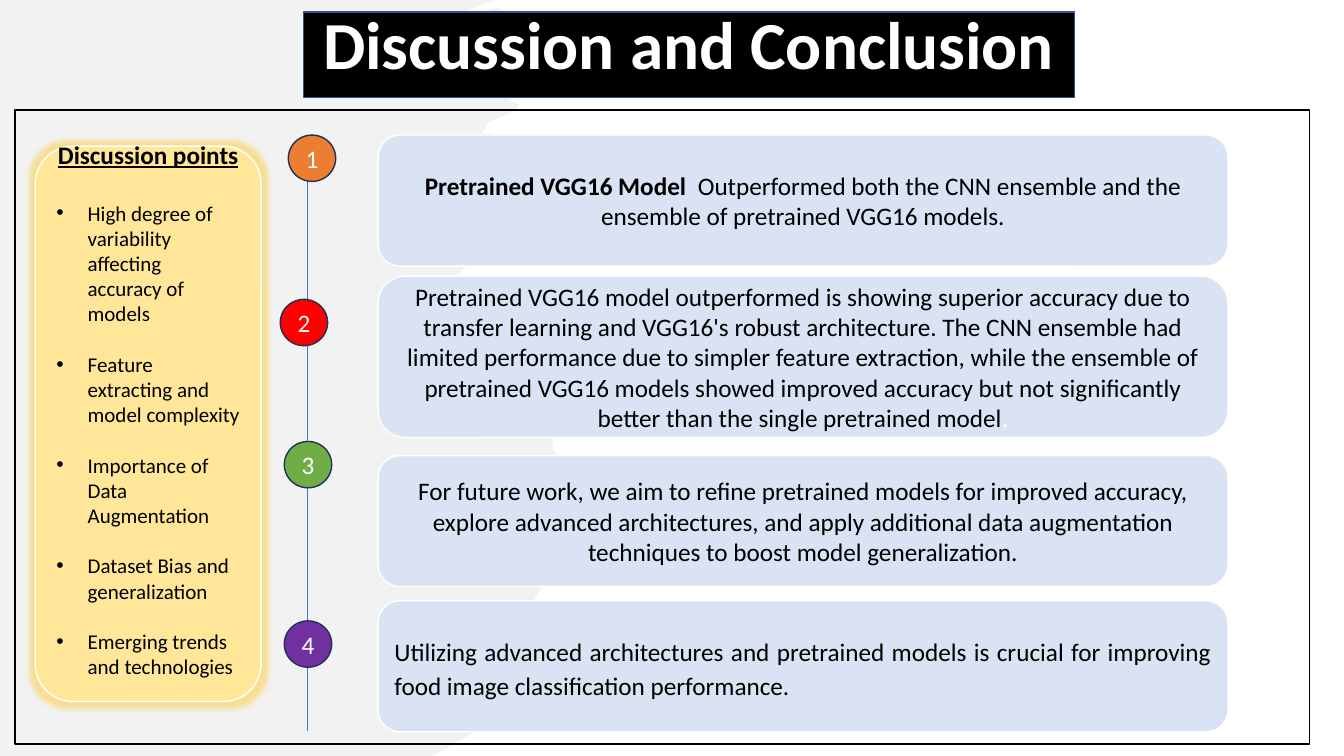
"""Build the Discussion and Conclusion slide."""
from lxml import etree
from pptx import Presentation
from pptx.dml import color as dml
from pptx.enum import shapes, text
from pptx.oxml import ns
from pptx.util import Inches, Pt

color = dml.RGBColor.from_string


def draw(kind, bounds, fill, line):
    shape = page.shapes.add_shape(kind, *map(Inches, bounds))
    shape.shadow.inherit = False
    if fill:
        shape.fill.solid()
        shape.fill.fore_color.rgb = color(fill)
    else:
        shape.fill.background()
    shape.line.color.rgb = color(line)
    shape.line.width = Pt(1)
    return shape


def write(para, words, size, hue, bold=False):
    span = para.add_run()
    span.text = words
    span.font.name = "Calibri"
    span.font.size = Pt(size)
    span.font.bold = bold
    span.font.color.rgb = color(hue)
    return span


deck = Presentation()
deck.slide_width, deck.slide_height = Inches(13.33), Inches(7.5)
page = deck.slides.add_slide(deck.slide_layouts[1])
title, points = page.placeholders

# Ragged backdrop edge, in hundredths of an inch
edge = [
    (492, 0), (459, 12), (464, 15), (493, 8), (499, 10), (496, 18), (483, 21),
    (464, 41), (493, 39), (498, 43), (500, 49), (509, 39), (516, 37), (518, 46),
    (512, 55), (494, 61), (513, 61), (535, 57), (558, 58), (580, 51), (602, 51),
    (504, 100), (508, 101), (515, 104), (510, 110), (484, 122), (478, 133),
    (486, 132), (493, 135), (490, 149), (453, 168), (450, 175), (455, 179),
    (466, 181), (450, 202), (444, 208), (433, 217), (433, 220), (447, 230),
    (473, 227), (435, 242), (557, 207), (549, 216), (506, 240), (494, 254),
    (482, 263), (464, 263), (451, 275), (464, 278), (479, 276), (497, 280),
    (512, 277), (532, 279), (538, 294), (540, 296), (575, 320), (585, 322),
    (526, 364), (566, 353), (571, 371), (553, 387), (546, 419), (549, 447),
    (557, 456), (568, 473), (575, 483), (600, 479), (567, 505), (594, 501),
    (602, 503), (597, 512), (578, 526), (538, 564), (577, 546), (536, 585),
    (527, 599), (509, 631), (510, 634), (531, 629), (503, 657), (475, 678),
    (495, 675), (523, 662), (532, 667), (506, 687), (491, 696), (485, 703),
    (468, 728), (429, 750), (0, 750),
]
builder = page.shapes.build_freeform(0, 0, scale=Inches(0.01))
builder.add_line_segments(edge, close=True)
backdrop = builder.convert_to_shape()
backdrop.shadow.inherit = False
backdrop.fill.solid()
backdrop.fill.fore_color.rgb = color("E7E6E6")
backdrop.line.fill.background()
shade = backdrop._element.spPr.find(".//" + ns.qn("a:srgbClr"))
etree.SubElement(shade, ns.qn("a:alpha"), val="50000")

timeline = page.shapes.add_connector(
    shapes.MSO_CONNECTOR.STRAIGHT, Inches(3.05), Inches(1.53), Inches(3.05), Inches(7.25))
timeline.line.color.rgb = color("4472C4")
timeline.line.width = Pt(0.5)
etree.SubElement(timeline._element.spPr, ns.qn("a:effectLst"))

badges = [(2.86, 1.34, "ED7D31"), (2.78, 2.97, "FF0000"),
          (2.82, 4.38, "70AD47"), (2.82, 6.16, "7030A0")]
for number, (left, top, fill) in enumerate(badges, 1):
    badge = draw(shapes.MSO_SHAPE.OVAL, (left, top, 0.47, 0.46), fill, "1E3256")
    badge.text_frame.vertical_anchor = text.MSO_ANCHOR.MIDDLE
    para = badge.text_frame.paragraphs[0]
    para.alignment = text.PP_ALIGN.CENTER
    write(para, str(number), 18, "FFFFFF")

conclusions = [
    (1.34, 1.3, [
        ("Pretrained VGG16 Model  ", "000000", True),
        ("Outperformed both the CNN ensemble and the ensemble of pretrained VGG16 models.",
         "000000", False)]),
    (2.74, 1.6, [
        ("Pretrained VGG16 model outperformed is showing superior accuracy due to transfer "
         "learning and VGG16's robust architecture. The CNN ensemble had limited performance "
         "due to simpler feature extraction, while the ensemble of pretrained VGG16 models "
         "showed improved accuracy but not significantly better than the single pretrained model",
         "000000", False),
        (".", "FFFFFF", False)]),
    (4.52, 1.3, [
        ("For future work, we aim to refine pretrained models for improved accuracy, explore "
         "advanced architectures, and apply additional data augmentation techniques to boost "
         "model generalization.", "000000", False)]),
    (5.96, 1.3, [
        ("Utilizing advanced architectures and pretrained models is crucial for improving food "
         "image classification performance.", "000000", False)]),
]
for top, height, spans in conclusions:
    box = draw(shapes.MSO_SHAPE.FLOWCHART_ALTERNATE_PROCESS,
               (3.75, top, 8.43, height), "DAE3F3", "FFFFFF")
    box.text_frame.word_wrap = True
    box.text_frame.vertical_anchor = text.MSO_ANCHOR.MIDDLE
    para = box.text_frame.paragraphs[0]
    para.alignment = text.PP_ALIGN.CENTER
    for words, hue, bold in spans:
        write(para, words, 18, hue, bold)
para.alignment = text.PP_ALIGN.JUSTIFY
para.line_spacing = 1.15
para.space_after = Pt(10)

panel = draw(shapes.MSO_SHAPE.ROUNDED_RECTANGLE, (0.35, 1.45, 2.24, 5.51), "FFE699", "FFFFFF")
effects = panel._element.spPr.find(ns.qn("a:effectLst"))
glow = etree.SubElement(effects, ns.qn("a:glow"), rad=str(Pt(8)))
tint = etree.SubElement(glow, ns.qn("a:srgbClr"), val="FFC000")
etree.SubElement(tint, ns.qn("a:alpha"), val="40000")

for holder, bounds in [(points, (0.46, 1.38, 2.02, 5.5)), (title, (3.01, 0.12, 7.65, 0.85))]:
    page.shapes._spTree.append(holder._element)
    holder.left, holder.top, holder.width, holder.height = map(Inches, bounds)
    holder.text_frame.word_wrap = True
    holder.text_frame.auto_size = text.MSO_AUTO_SIZE.NONE
    holder.text_frame.margin_top = 0

frame = points.text_frame
frame.vertical_anchor = text.MSO_ANCHOR.TOP
heading = frame.paragraphs[0]
heading.alignment = text.PP_ALIGN.CENTER
settings = heading._p.get_or_add_pPr()
settings.set("marL", "0")
settings.set("indent", "0")
etree.SubElement(settings, ns.qn("a:buNone"))
heading.space_before = Pt(0)
write(heading, "Discussion points", 18, "000000", True).font.underline = True
topics = ["High degree of variability affecting accuracy of models",
          "Feature extracting and model complexity",
          "Importance of Data Augmentation",
          "Dataset Bias and generalization",
          "Emerging trends and technologies"]
for index, topic in enumerate(topics):
    para = frame.add_paragraph()
    settings = para._p.get_or_add_pPr()
    settings.set("marL", str(Inches(0.31)))
    settings.set("indent", str(-Inches(0.31)))
    etree.SubElement(settings, ns.qn("a:buFont"), typeface="Arial")
    etree.SubElement(settings, ns.qn("a:buChar"), char="•")
    para.alignment = text.PP_ALIGN.LEFT
    para.space_before = Pt(18 if index else 22)
    write(para, topic, 15, "000000")

title.fill.solid()
title.fill.fore_color.rgb = color("000000")
title.line.color.rgb = color("325491")
title.line.width = Pt(1)
title.text_frame.margin_bottom = Inches(0.24)
title.text_frame.vertical_anchor = text.MSO_ANCHOR.MIDDLE
para = title.text_frame.paragraphs[0]
para.alignment = text.PP_ALIGN.CENTER
write(para, "Discussion and Conclusion", 48, "FFFFFF", True)

draw(shapes.MSO_SHAPE.RECTANGLE, (0.15, 1.09, 12.84, 6.29), None, "000000")

deck.save("out.pptx")
